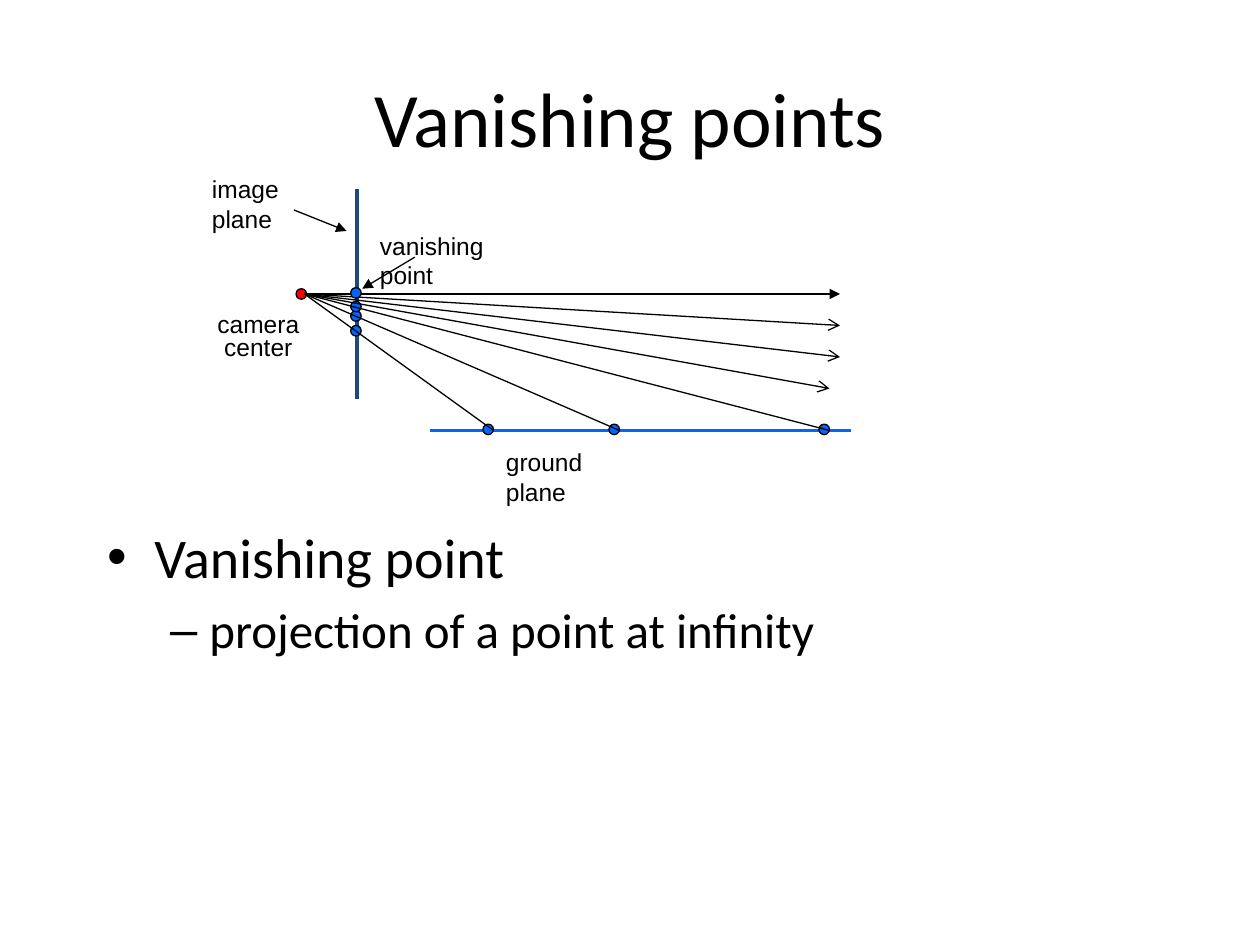
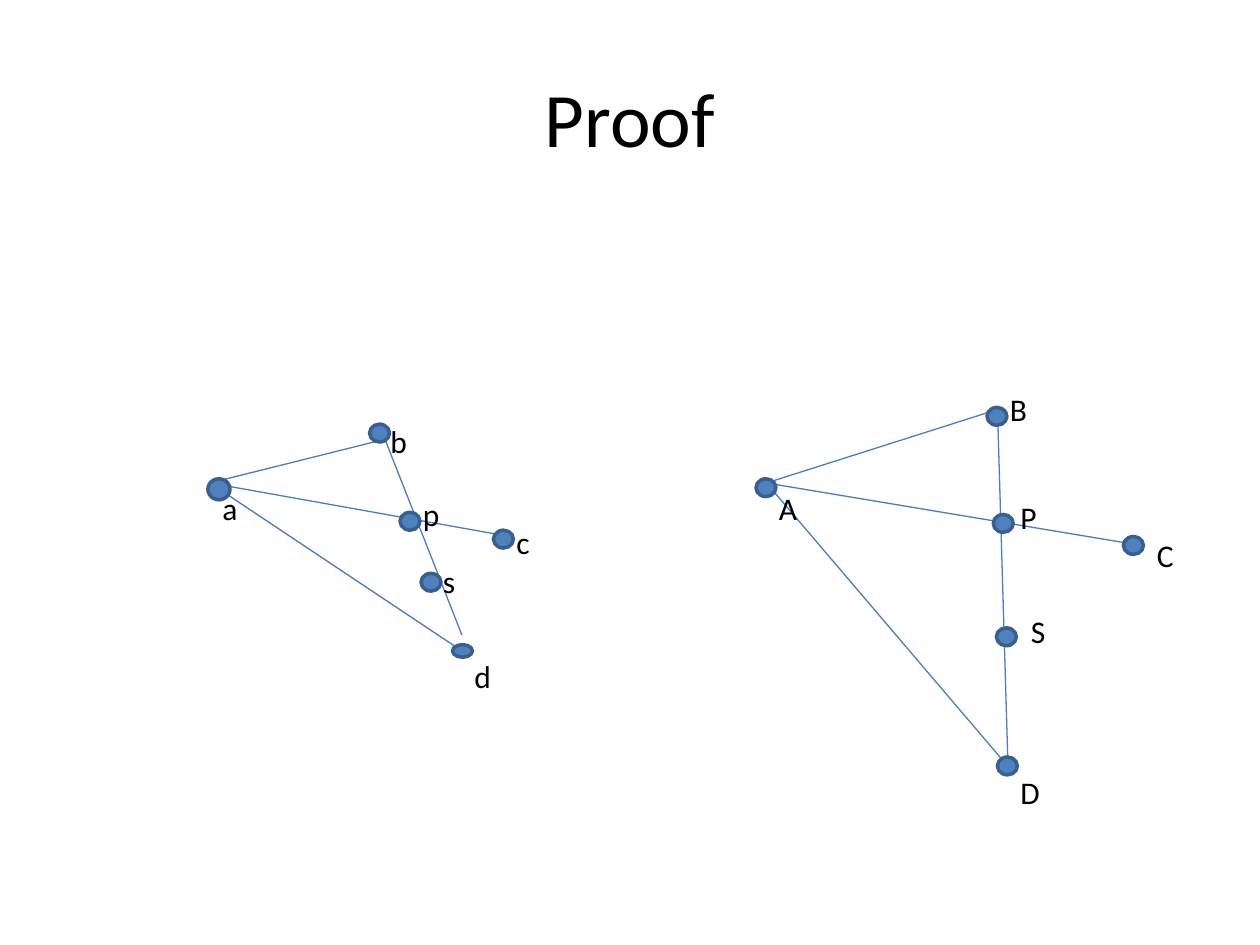
from lxml import etree
from pptx import Presentation
from pptx.dml.color import RGBColor
from pptx.enum.shapes import MSO_CONNECTOR, MSO_SHAPE
from pptx.enum.text import MSO_ANCHOR, PP_ALIGN
from pptx.oxml.ns import qn
from pptx.util import Inches, Pt

STRAIGHT = MSO_CONNECTOR.STRAIGHT
ELLIPSE, NODE = MSO_SHAPE.OVAL, MSO_SHAPE.FLOWCHART_CONNECTOR
LEFT, CENTER, MIDDLE = PP_ALIGN.LEFT, PP_ALIGN.CENTER, MSO_ANCHOR.MIDDLE
color = RGBColor.from_string

BLACK, RED, BLUE, NAVY = "000000", "FF0000", "0066FF", "1F497D"
EDGE_BLUE, NODE_BLUE, NODE_BORDER = "4B7EBC", "4F81BD", "3A5F8C"
TITLE_FONT = {"name": "Calibri", "size": Pt(44)}
NOTE_FONT = {"name": "Arial", "size": Pt(14)}
POINT_FONT = {"name": "Calibri", "size": Pt(18)}

presentation = Presentation()
presentation.slide_width, presentation.slide_height = Inches(10), Inches(7.5)

# All positions are in cells of a square grid, 120 columns by 90 rows
CELL = presentation.slide_width / 120


def add_line(slide, start, end, line_color, width=0.75, arrow=None):
    points = [round(value * CELL) for value in (*start, *end)]
    connector = slide.shapes.add_connector(STRAIGHT, *points)
    connector.line.color.rgb = color(line_color)
    connector.line.width = Pt(width)
    properties = connector._element.spPr
    if arrow:
        etree.SubElement(properties.find(qn("a:ln")), qn("a:tailEnd"), type=arrow)
    etree.SubElement(properties, qn("a:effectLst"))


def add_dot(slide, preset, box, fill, border, width):
    shape = slide.shapes.add_shape(preset, *[round(value * CELL) for value in box])
    shape.shadow.inherit = False
    shape.fill.solid()
    shape.fill.fore_color.rgb = color(fill)
    shape.line.color.rgb = color(border)
    shape.line.width = Pt(width)


# Slides with their titles
slides = []
for layout, title in ((1, "Vanishing points"), (5, "Proof")):
    slide = presentation.slides.add_slide(presentation.slide_layouts[layout])
    shape = slide.shapes.title
    box = {"left": 6, "top": 3.6, "width": 108, "height": 15}
    for name, value in box.items():
        setattr(shape, name, round(value * CELL))
    shape.text_frame.text = title
    shape.text_frame.vertical_anchor = MIDDLE
    paragraph = shape.text_frame.paragraphs[0]
    paragraph.alignment = CENTER
    for name, value in TITLE_FONT.items():
        setattr(paragraph.font, name, value)
    paragraph.font.color.rgb = color(BLACK)
    slides.append(slide)
vanishing, proof = slides

# Definition list
body = vanishing.placeholders[1]
box = {"left": 9, "top": 49.2, "width": 102, "height": 31.8}
for name, value in box.items():
    setattr(body, name, round(value * CELL))
body.text_frame.text = "Vanishing point\nprojection of a point at infinity"
for level, (paragraph, size) in enumerate(zip(body.text_frame.paragraphs, (32, 28))):
    paragraph.level = level
    paragraph.font.name, paragraph.font.size = "Calibri", Pt(size)
    paragraph.font.color.rgb = color(BLACK)

# Image plane and ground plane
add_line(vanishing, (34, 18), (34, 38), NAVY, 2.25)
add_line(vanishing, (41, 41), (81, 41), BLUE, 2.25)

# Camera center, ground points and their projections
ground_columns = (47, 59, 79)
dots = [(28.7, 28, RED)]
dots += [(column - 0.5, 40.9, BLUE) for column in ground_columns]
dots += [(33.9, row, BLUE) for row in (31.5, 30.1, 29.2)]
for column, row, fill in dots:
    add_dot(vanishing, ELLIPSE, (column - 0.5, row - 0.5, 1, 1), fill, BLACK, 0.75)

# Rays from the camera
camera = (29, 28)
rays = [((column, 41), None) for column in ground_columns]
rays += [((79, 37), "arrow"), ((80, 34), "arrow"), ((80, 31), "arrow"), ((80, 28), "triangle")]
for end, arrow in rays:
    add_line(vanishing, camera, end, BLACK, arrow=arrow)
add_dot(vanishing, ELLIPSE, (33.4, 27.4, 1, 1), BLUE, BLACK, 0.75)

# Pointers from the notes
add_line(vanishing, (28, 20), (33, 22), BLACK, arrow="triangle")
add_line(vanishing, (39.5, 24.5), (34.5, 27.5), BLACK, arrow="triangle")

# Projected and true triangles
edges = [
    ((20, 46), (36, 42)), ((36.1, 40.4), (44, 60.5)), ((20, 46), (44, 62)),
    ((73, 46), (95, 39)), ((73, 46), (96, 73)), ((95, 39), (96, 73)),
    ((20, 46), (48, 51)), ((73, 46), (109, 52)),
]
for start, end in edges:
    add_line(proof, start, end, EDGE_BLUE)

# Points: name, node corner, label corner
points = [
    ("a", (19.8, 45.6), (20, 46)), ("b", (35.2, 40.4), (36, 39.6)),
    ("p", (38.1, 48.8), (39.1, 46.6)), ("d", (43.1, 61.4), (44, 62)),
    ("s", (40.1, 54.6), (41, 52.9)), ("c", (47, 50.5), (48, 49.2)),
    ("A", (72, 45.6), (73, 46)), ("B", (94, 38.8), (95, 36.6)),
    ("P", (94.6, 49), (96, 46.8)), ("D", (95, 72.1), (96, 73)),
    ("C", (107, 51.1), (109, 50.5)), ("S", (94.9, 59.8), (97, 57.7)),
]
node_sizes = {"a": (2.1, 2), "d": (1.9, 1.2)}
for name, corner, _ in points:
    size = node_sizes.get(name, (1.9, 1.7))
    add_dot(proof, NODE, (*corner, *size), NODE_BLUE, NODE_BORDER, 2)

# Notes and point labels
labels = [
    (vanishing, "image plane", (19, 16, 14, 6.2), NOTE_FONT, LEFT, True),
    (vanishing, "vanishing point", (35, 21.4, 16.5, 6.2), NOTE_FONT, LEFT, True),
    (vanishing, "ground plane", (47, 42, 14.5, 6.2), NOTE_FONT, LEFT, True),
    (vanishing, "camera\ncenter", (19.5, 28.8, 10.2, 6.2), NOTE_FONT, CENTER, False),
]
labels += [(proof, name, (*corner, 4, 4.8), POINT_FONT, LEFT, False) for name, _, corner in points]
for slide, text, box, font, alignment, wrap in labels:
    shape = slide.shapes.add_textbox(*[round(value * CELL) for value in box])
    shape.text_frame.word_wrap = wrap
    shape.text_frame.text = text
    for index, paragraph in enumerate(shape.text_frame.paragraphs):
        paragraph.alignment = alignment
        paragraph.line_spacing = 0.8 if index else 1.0
        for name, value in font.items():
            setattr(paragraph.font, name, value)
        paragraph.font.color.rgb = color(BLACK)

presentation.save("out.pptx")
